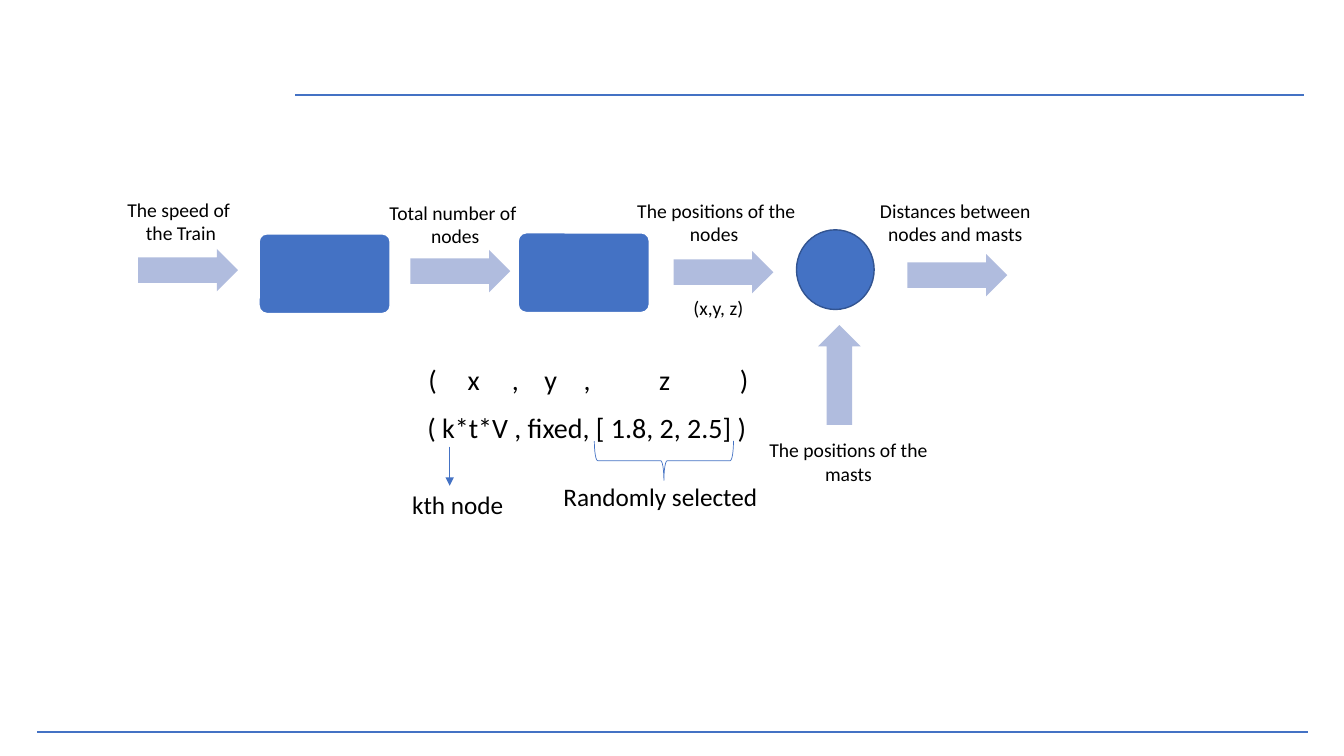
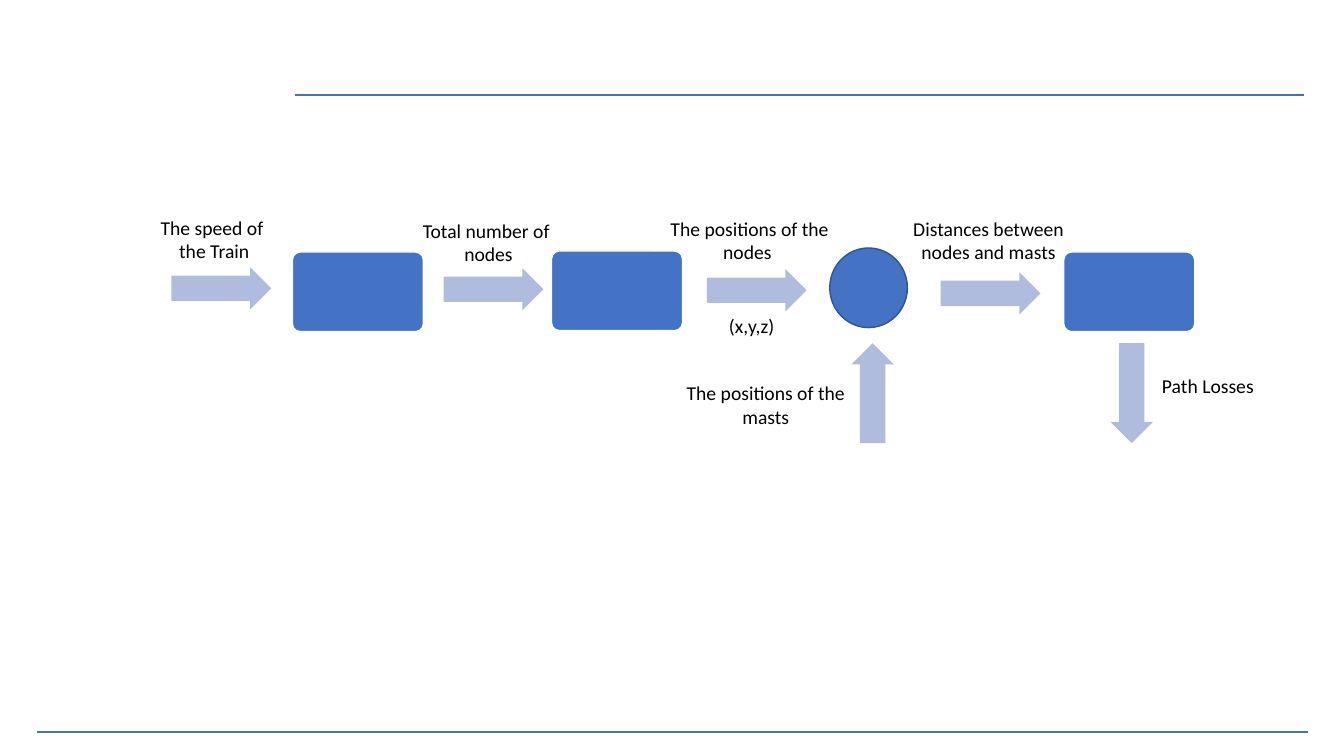
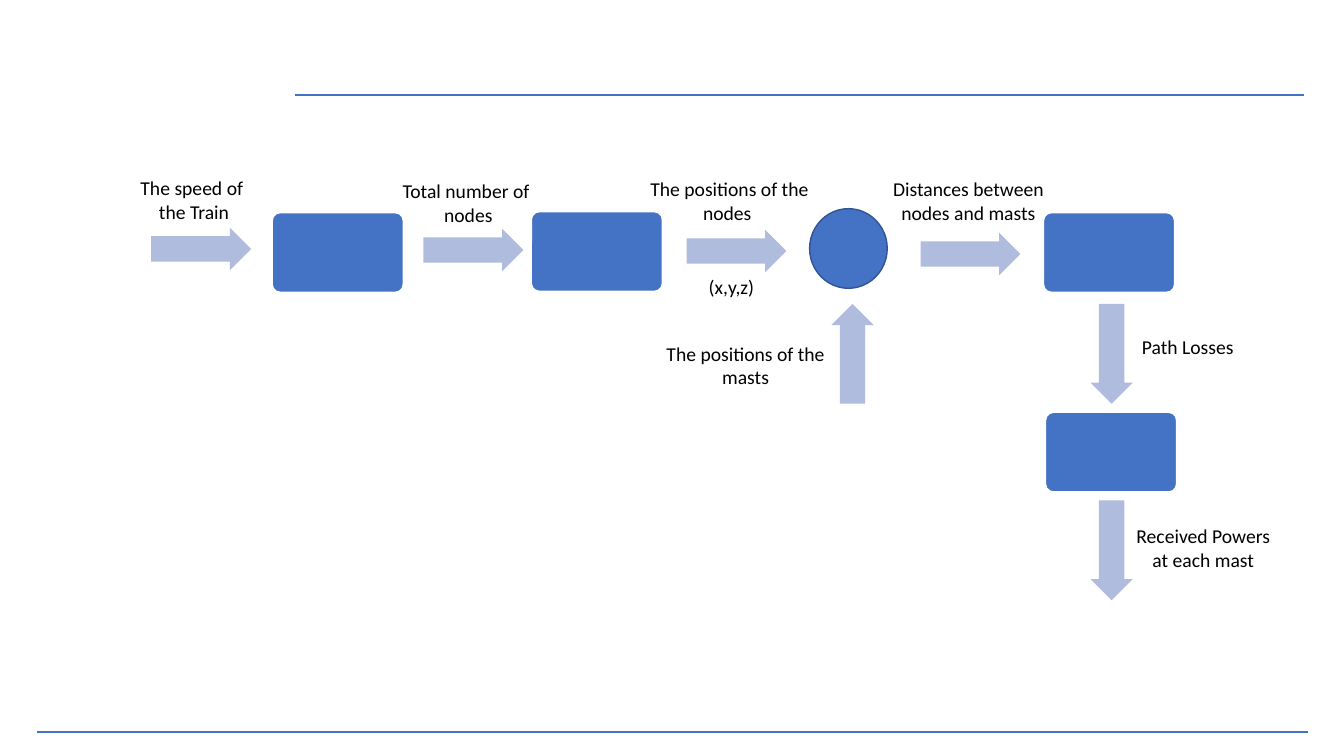
from dataclasses import dataclass, replace

from lxml.etree import SubElement
from pptx import Presentation
from pptx.dml.color import RGBColor
from pptx.enum.shapes import MSO_CONNECTOR as Link, MSO_SHAPE as Preset
from pptx.enum.text import MSO_AUTO_SIZE as Fit, PP_ALIGN as Align
from pptx.oxml.ns import qn
from pptx.util import Pt

EMU_PER_PX = 9144
SLIDE_SIZE = (1333, 750)
COLORS = {
    "blue": "4472C4",
    "outline": "325491",
    "arrow": "B0BCDE",
    "white": "FFFFFF",
    "text": "000000",
}


@dataclass(frozen=True)
class Caption:
    left: int
    top: int
    text: str
    width: int = 205
    height: int = 57
    size: int = 14
    align: Align = Align.CENTER
    wrap: bool = True
    tabs: tuple[int, ...] = ()


@dataclass(frozen=True)
class Figure:
    left: int
    top: int
    width: int
    height: int
    preset: Preset
    fill: str | None
    line: str | None
    weight: float = 1
    rotation: int = 0
    adjustments: tuple[float, ...] = ()


@dataclass(frozen=True)
class Rule:
    start: tuple[int, int]
    end: tuple[int, int]
    weight: float
    pointed: bool = False


def block(left: int, top: int) -> Figure:
    return Figure(left, top, 130, 79, Preset.ROUNDED_RECTANGLE, "blue", "white",
                  adjustments=(0.1,))


def arrow(left: int, top: int, rotation: int = 0) -> Figure:
    return Figure(left, top, 99, 42, Preset.RIGHT_ARROW, "arrow", None,
                  rotation=rotation, adjustments=(0.6, 0.5))


FRAME = (
    Rule((293, 94), (1293, 94), 1.5),
    Rule((37, 726), (1297, 726), 1.5),
)
PIPELINE = (
    Caption(77, 191, "The speed of \nthe Train"),
    arrow(137, 247),
    block(257, 232),
    Caption(349, 194, "Total number of \nnodes"),
    arrow(407, 248),
    block(514, 231),
    Caption(608, 192, "The positions of the nodes "),
    arrow(668, 249),
    Figure(790, 228, 77, 79, Preset.OVAL, "blue", "outline"),
    Caption(845, 192, "Distances between nodes and masts"),
    arrow(900, 252),
    arrow(783, 351, 270),
)
POSITION_FORMULA = (
    Caption(664, 289, "(x,y, z)", 97, 34),
    Caption(739, 430, "The positions of the masts"),
    Caption(415, 355, "\t".join("(x,y,z)"), 340, 44, 20, Align.LEFT,
            tabs=(39, 83, 115, 154, 229, 309)),
    Caption(414, 402, "( k*t*V , fixed, [ 1.8, 2, 2.5] )", 340, 44, 20, Align.LEFT, False),
    Figure(639, 388, 39, 138, Preset.LEFT_BRACE, None, "blue", 0.5, 270),
    Caption(549, 473, "Randomly selected", 243, 40, 18, Align.LEFT),
    Rule((446, 443), (446, 482), 0.5, True),
    Caption(399, 481, "kth node", 112, 40, 18, Align.LEFT, False),
)
PATH_LOSS = (
    Caption(664, 289, "(x,y,z)", 97, 34),
    Caption(624, 355, "The positions of the masts"),
    block(1022, 232),
    arrow(1040, 351, 90),
    Caption(1101, 348, "Path Losses", 128, 34),
)
RECEIVED_POWER = (
    block(1024, 430),
    arrow(1040, 546, 90),
    Caption(1097, 536, "Received Powers at each mast", 167),
)
SLIDES = (
    (0, 0, PIPELINE + POSITION_FORMULA),
    (33, 18, PIPELINE + PATH_LOSS),
    (13, -21, PIPELINE + PATH_LOSS + RECEIVED_POWER),
)


def emu(*lengths: int) -> list[int]:
    return [length * EMU_PER_PX for length in lengths]


def rgb(name: str) -> RGBColor:
    return RGBColor.from_string(COLORS[name])


def assign(target, values: dict) -> None:
    for attribute, value in values.items():
        setattr(target, attribute, value)


def draw_caption(shapes, caption: Caption) -> None:
    box = shapes.add_textbox(*emu(caption.left, caption.top, caption.width, caption.height))
    frame = box.text_frame
    frame.text = caption.text
    assign(frame, {"word_wrap": caption.wrap, "auto_size": Fit.SHAPE_TO_FIT_TEXT})
    for paragraph in frame.paragraphs:
        paragraph.alignment = caption.align
        for run in paragraph.runs:
            assign(run.font, {"name": "Calibri", "size": Pt(caption.size)})
            run.font.color.rgb = rgb("text")
        if caption.tabs:
            stops = SubElement(paragraph._p.get_or_add_pPr(), qn("a:tabLst"))
            for position in emu(*caption.tabs):
                SubElement(stops, qn("a:tab"), pos=str(position), algn="l")


def draw_figure(shapes, figure: Figure) -> None:
    shape = shapes.add_shape(
        figure.preset, *emu(figure.left, figure.top, figure.width, figure.height))
    shape.rotation = figure.rotation
    shape.shadow.inherit = False
    for index, value in enumerate(figure.adjustments):
        shape.adjustments[index] = value
    for paint, color in ((shape.fill, figure.fill), (shape.line.fill, figure.line)):
        if color:
            paint.solid()
            paint.fore_color.rgb = rgb(color)
        else:
            paint.background()
    if figure.line:
        shape.line.width = Pt(figure.weight)


def draw_rule(shapes, rule: Rule) -> None:
    connector = shapes.add_connector(Link.STRAIGHT, *emu(*rule.start, *rule.end))
    connector.line.width = Pt(rule.weight)
    connector.line.color.rgb = rgb("blue")
    if rule.pointed:
        SubElement(connector.line._get_or_add_ln(), qn("a:tailEnd"), type="triangle")
    SubElement(connector._element.spPr, qn("a:effectLst"))


DRAWERS = {Caption: draw_caption, Figure: draw_figure, Rule: draw_rule}


def shifted(part: Caption | Figure | Rule, dx: int, dy: int) -> Caption | Figure | Rule:
    if isinstance(part, Rule):
        (x1, y1), (x2, y2) = part.start, part.end
        return replace(part, start=(x1 + dx, y1 + dy), end=(x2 + dx, y2 + dy))
    return replace(part, left=part.left + dx, top=part.top + dy)


def main() -> None:
    deck = Presentation()
    width, height = emu(*SLIDE_SIZE)
    assign(deck, {"slide_width": width, "slide_height": height})
    for dx, dy, parts in SLIDES:
        shapes = deck.slides.add_slide(deck.slide_layouts[6]).shapes
        for part in FRAME + tuple(shifted(part, dx, dy) for part in parts):
            DRAWERS[type(part)](shapes, part)
    deck.save("out.pptx")


if __name__ == "__main__":
    main()
